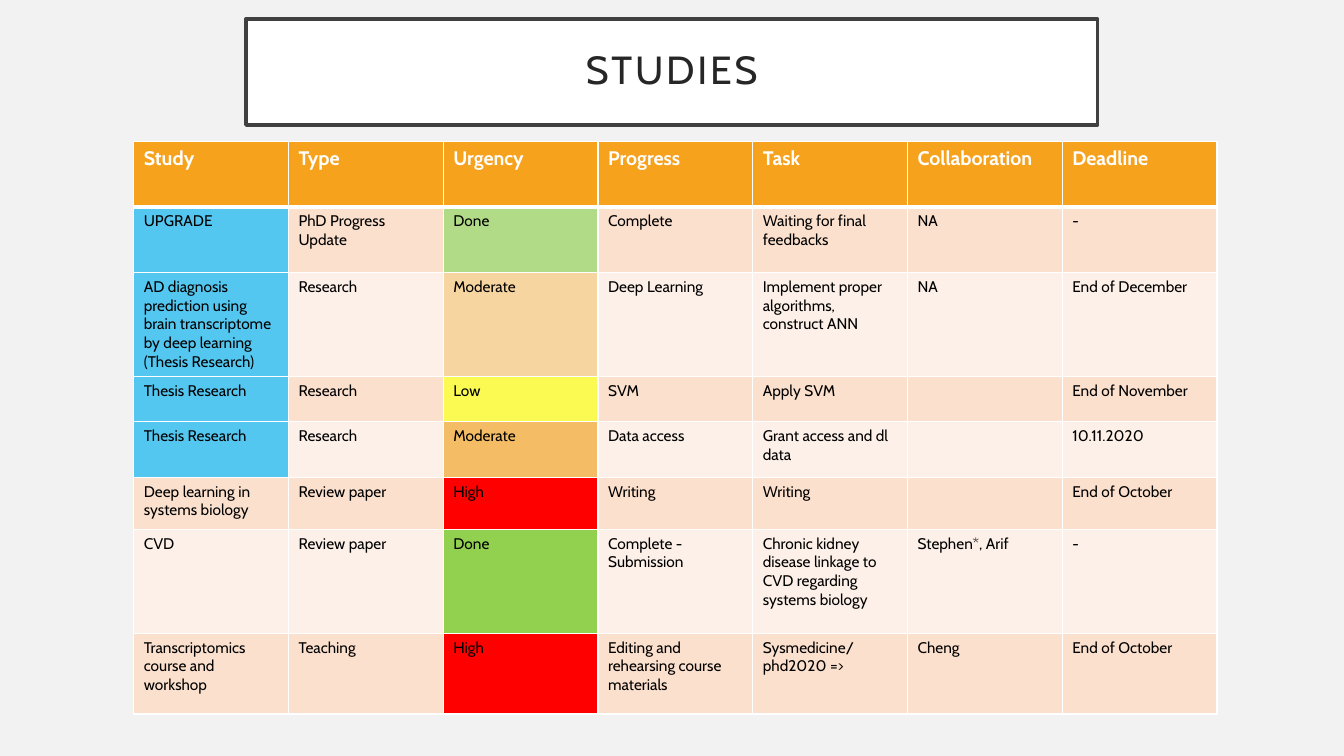
"""Build the slide that lists the studies with their urgency and deadlines."""
from dataclasses import dataclass
from typing import NamedTuple, Optional

from lxml import etree
from pptx import Presentation
from pptx.dml.color import RGBColor
from pptx.enum.text import MSO_ANCHOR, MSO_AUTO_SIZE, PP_ALIGN
from pptx.oxml.ns import qn
from pptx.util import Cm, Pt

CENTER = PP_ALIGN.CENTER
MIDDLE = MSO_ANCHOR.MIDDLE
NO_FIT = MSO_AUTO_SIZE.NONE


@dataclass(frozen=True)
class Theme:
    font: str = "Cabin"
    title_size: float = 28
    header_size: float = 14
    body_size: float = 11
    background: str = "F2F2F2"
    white: str = "FFFFFF"
    frame: str = "404040"
    title: str = "262626"
    body: str = "000000"
    header: str = "F6A21D"
    bands: tuple = ("FBE0CD", "FDF0E8")


class Fill(NamedTuple):
    color: str
    alpha: int = 100


class Study(NamedTuple):
    height: float
    texts: tuple
    urgency: Fill
    mark: Optional[Fill] = None


THEME = Theme()
THESIS = Fill("00B0F0", 65)
HIGH = Fill("FF0000")
COL_WIDTH = 3.9
HEADER_HEIGHT = 1.65
HEADERS = ("Study", "Type", "Urgency", "Progress", "Task", "Collaboration", "Deadline")
URGENCY_COL = HEADERS.index("Urgency")
STUDIES = (
    Study(1.65, ("UPGRADE", "PhD Progress Update", "Done", "Complete",
                 "Waiting for final feedbacks", "NA", "-"), Fill("92D050", 66), THESIS),
    Study(2.62, ("AD diagnosis prediction using brain transcriptome by deep learning "
                 "(Thesis Research)", "Research", "Moderate", "Deep Learning",
                 "Implement proper algorithms, construct ANN", "NA", "End of December"),
          Fill("FAC777", 66), THESIS),
    Study(1.13, ("Thesis Research", "Research", "Low", "SVM", "Apply SVM", "",
                 "End of November"), Fill("FFFF00", 66), THESIS),
    Study(1.41, ("Thesis Research", "Research", "Moderate", "Data access",
                 "Grant access and dl data", "", "10.11.2020"), Fill("F6A21D", 66), THESIS),
    Study(1.31, ("Deep learning in systems biology", "Review paper", "High", "Writing",
                 "Writing", "", "End of October"), HIGH),
    Study(2.62, ("CVD", "Review paper", "Done", "Complete - Submission",
                 "Chronic kidney disease linkage to CVD regarding systems biology",
                 "Stephen*, Arif", "-"), Fill("92D050")),
    Study(2.04, ("Transcriptomics course and workshop", "Teaching", "High",
                 "Editing and rehearsing course materials", "Sysmedicine/phd2020 =>",
                 "Cheng", "End of October"), HIGH),
)


def rgb(color: str) -> RGBColor:
    return RGBColor.from_string(color)


def write(tf, text: str, *, size: float, color: str, bold: bool = False,
          align=None, line_spacing=None, tracking: float = 0) -> None:
    p = tf.paragraphs[0]
    p.alignment = align
    p.line_spacing = line_spacing
    p.font.size = Pt(size)
    if not text:
        return
    r = p.add_run()
    r.text = text
    r.font.name = THEME.font
    r.font.size = Pt(size)
    r.font.bold = bold
    r.font.color.rgb = rgb(color)
    if tracking:
        r.font._element.set("spc", str(round(tracking * 100)))


def set_borders(cell, **widths: float) -> None:
    tc_pr = cell._tc.get_or_add_tcPr()
    for side in "LRTB":
        ln = etree.SubElement(tc_pr, qn(f"a:ln{side}"), w=str(Pt(widths.get(side, 1))))
        solid = etree.SubElement(ln, qn("a:solidFill"))
        etree.SubElement(solid, qn("a:srgbClr"), val=THEME.white)


def set_fill(cell, fill: Fill) -> None:
    cell.fill.solid()
    cell.fill.fore_color.rgb = rgb(fill.color)
    if fill.alpha < 100:
        clr = cell._tc.tcPr.find(qn("a:solidFill")).find(qn("a:srgbClr"))
        etree.SubElement(clr, qn("a:alpha"), val=str(fill.alpha * 1000))


def add_title(slide, text: str) -> None:
    sp = slide.shapes.title
    sp.left, sp.top, sp.width, sp.height = Cm(6.2), Cm(0.48), Cm(21.46), Cm(2.67)
    sp.fill.solid()
    sp.fill.fore_color.rgb = rgb(THEME.white)
    sp.line.color.rgb = rgb(THEME.frame)
    sp.line.width = Pt(2.5)
    tf = sp.text_frame
    tf.auto_size = NO_FIT
    tf.word_wrap = True
    tf.vertical_anchor = MIDDLE
    tf.margin_left = tf.margin_right = tf.margin_top = tf.margin_bottom = Cm(0.51)
    write(tf, text, size=THEME.title_size, color=THEME.title, align=CENTER,
          line_spacing=0.9, tracking=2)


def add_studies(slide) -> None:
    heights = [HEADER_HEIGHT, *(study.height for study in STUDIES)]
    table = slide.shapes.add_table(
        len(heights), len(HEADERS), Cm(3.37), Cm(3.56),
        Cm(COL_WIDTH * len(HEADERS)), Cm(sum(heights))).table
    table.horz_banding = False
    for column in table.columns:
        column.width = Cm(COL_WIDTH)
    for row, height in zip(table.rows, heights):
        row.height = Cm(height)
    for col, text in enumerate(HEADERS):
        cell = table.cell(0, col)
        set_borders(cell, B=3)
        set_fill(cell, Fill(THEME.header))
        write(cell.text_frame, text, size=THEME.header_size, color=THEME.white, bold=True)
    for row, study in enumerate(STUDIES, 1):
        band = Fill(THEME.bands[(row - 1) % 2])
        special = {0: study.mark or band, URGENCY_COL: study.urgency}
        for col, text in enumerate(study.texts):
            cell = table.cell(row, col)
            set_borders(cell, T=3 if row == 1 else 1)
            set_fill(cell, special.get(col, band))
            write(cell.text_frame, text, size=THEME.body_size, color=THEME.body)


def main() -> None:
    prs = Presentation()
    prs.slide_width, prs.slide_height = Cm(33.87), Cm(19.05)
    slide = prs.slides.add_slide(prs.slide_layouts.get_by_name("Title Only"))
    slide.background.fill.solid()
    slide.background.fill.fore_color.rgb = rgb(THEME.background)
    add_title(slide, "STUDIES")
    add_studies(slide)
    prs.save("out.pptx")


main()
